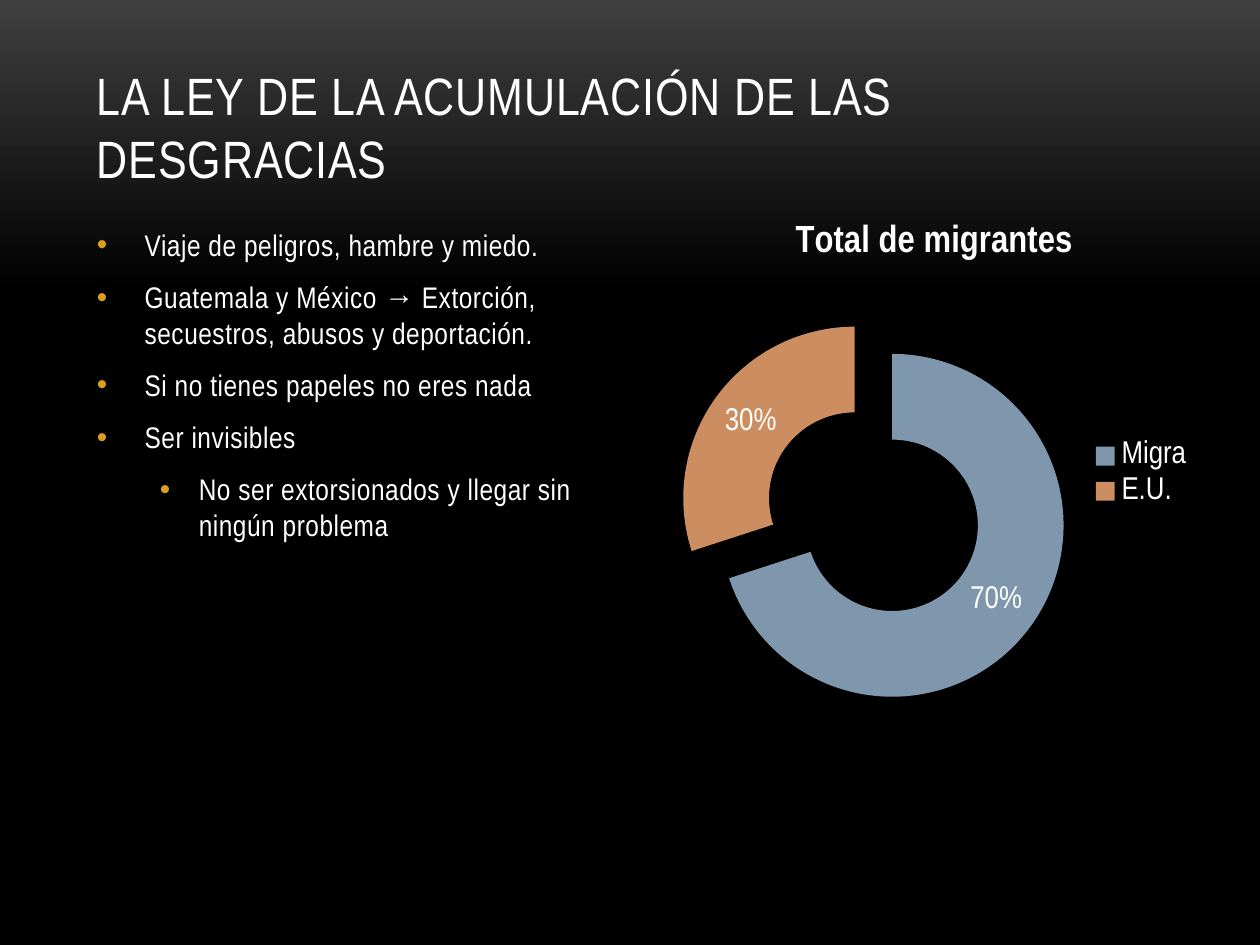
from lxml.etree import SubElement
from pptx import Presentation
from pptx.chart.data import CategoryChartData
from pptx.dml.color import RGBColor
from pptx.enum.chart import XL_CHART_TYPE as ChartType, XL_LEGEND_POSITION as LegendPosition
from pptx.enum.text import MSO_ANCHOR as Anchor
from pptx.oxml.ns import qn
from pptx.util import Inches, Pt

WHITE = RGBColor(0xFF, 0xFF, 0xFF)
BLACK = RGBColor(0x00, 0x00, 0x00)
CHARCOAL = RGBColor(0x3F, 0x3F, 0x3F)
GOLD = RGBColor(0xDC, 0x9E, 0x1F)
BLUE = RGBColor(0x7E, 0x97, 0xAD)
ORANGE = RGBColor(0xCC, 0x8E, 0x60)
FONT = "Arial Narrow"

presentation = Presentation()
presentation.slide_width = Inches(10)
presentation.slide_height = Inches(7.5)
slide = presentation.slides.add_slide(presentation.slide_layouts[6])

background = slide.background.fill
background.gradient()
background.gradient_angle = 270
for stop, color, position in zip(background.gradient_stops, (CHARCOAL, BLACK), (0, 0.31)):
    stop.color.rgb = color
    stop.position = position


def add_text_frame(left, top, width, height, anchor):
    box = slide.shapes.add_textbox(Inches(left), Inches(top), Inches(width), Inches(height))
    box.text_frame.word_wrap = True
    box.text_frame.vertical_anchor = anchor
    return box.text_frame


def add_run(paragraph, text, size, spacing):
    run = paragraph.add_run()
    run.text = text
    run.font.name = FONT
    run.font.size = Pt(size)
    run.font.color.rgb = WHITE
    run.font._element.set("spc", str(spacing))


title = add_text_frame(0.67, 0.3, 8.67, 1.25, Anchor.BOTTOM)
add_run(title.paragraphs[0], "LA LEY DE LA ACUMULACIÓN DE LAS DESGRACIAS", 30, 50)

points = [
    ("Viaje de peligros, hambre y miedo.", 0),
    ("Guatemala y México → Extorción, secuestros, abusos y deportación.", 0),
    ("Si no tienes papeles no eres nada", 0),
    ("Ser invisibles", 0),
    ("No ser extorsionados y llegar sin ningún problema", 1),
]
indents = [(0.38, -0.38), (0.81, -0.31)]
body = add_text_frame(0.67, 1.75, 4.33, 4.5, Anchor.TOP)
for index, (text, level) in enumerate(points):
    paragraph = body.paragraphs[0] if index == 0 else body.add_paragraph()
    paragraph.level = level
    paragraph.space_before = Pt(3.4)
    paragraph.space_after = Pt(6)
    properties = paragraph._p.get_or_add_pPr()
    margin, indent = indents[level]
    properties.set("marL", str(Inches(margin)))
    properties.set("indent", str(Inches(indent)))
    bullet_color = SubElement(properties, qn("a:buClr"))
    SubElement(bullet_color, qn("a:srgbClr"), val=str(GOLD))
    SubElement(properties, qn("a:buFont"), typeface="Arial")
    SubElement(properties, qn("a:buChar"), char="•")
    add_run(paragraph, text, 17, 30)

data = CategoryChartData()
data.categories = ["Migra", "E.U."]
data.add_series("Total de migrantes", (70, 30))
chart = slide.shapes.add_chart(
    ChartType.DOUGHNUT, Inches(5.25), Inches(1.55), Inches(4.33), Inches(4.42), data
).chart
chart.font.name = FONT
chart.font.size = Pt(18)
chart.font.color.rgb = WHITE

chart.has_title = True
chart_title = chart.chart_title.text_frame.paragraphs[0]
add_run(chart_title, "Total de migrantes", 21.6, 0)
chart_title.runs[0].font.bold = True

chart.has_legend = True
chart.legend.position = LegendPosition.RIGHT
chart.legend.include_in_layout = False

plot = chart.plots[0]
plot.vary_by_categories = True
plot.has_data_labels = True
labels = plot.data_labels
labels.show_percentage = True
labels.show_value = False
labels.font.name = FONT
labels.font.size = Pt(18)
labels.font.color.rgb = WHITE

series = plot.series[0]
series.format.line.fill.background()
explosion = SubElement(series._element, qn("c:explosion"), val="27")
series._element.find(qn("c:spPr")).addnext(explosion)
for index, color in enumerate((BLUE, ORANGE)):
    wedge = series.points[index].format
    wedge.fill.solid()
    wedge.fill.fore_color.rgb = color
    wedge.line.fill.background()

presentation.save("out.pptx")
